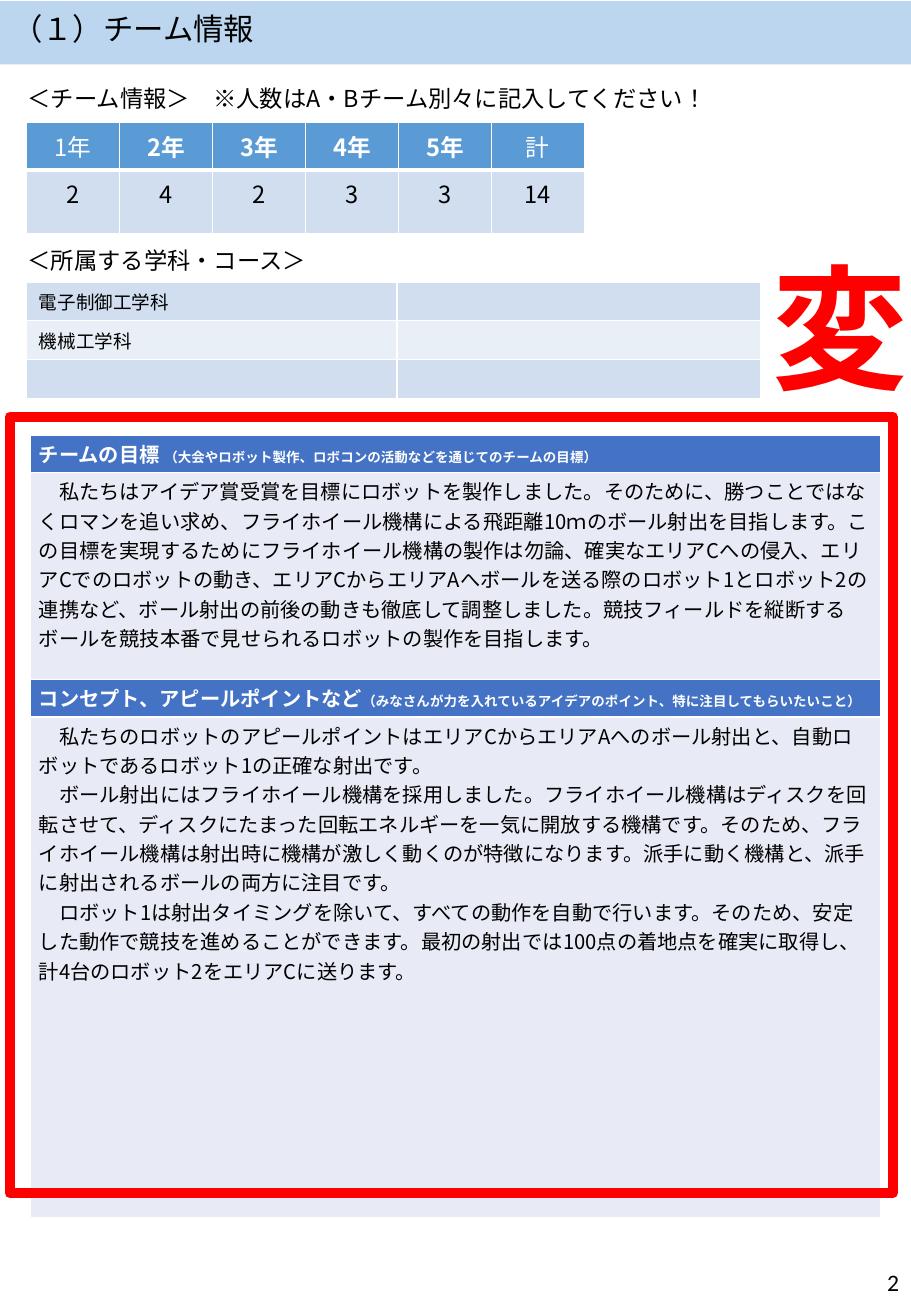
from lxml import etree
from pptx import Presentation
from pptx.dml.color import RGBColor
from pptx.enum.lang import MSO_LANGUAGE_ID
from pptx.enum.shapes import MSO_SHAPE
from pptx.enum.text import MSO_ANCHOR, PP_ALIGN
from pptx.oxml.ns import qn
from pptx.util import Inches, Pt

JAPANESE = MSO_LANGUAGE_ID.JAPANESE
RECTANGLE = MSO_SHAPE.RECTANGLE
MIDDLE, TOP = MSO_ANCHOR.MIDDLE, MSO_ANCHOR.TOP
LEFT, CENTER, RIGHT = PP_ALIGN.LEFT, PP_ALIGN.CENTER, PP_ALIGN.RIGHT

GOTHIC = "Noto Sans CJK JP"
COLORS = {
    "black": "000000", "white": "FFFFFF", "red": "FF0000",
    "title_bar": "BBD6EE", "year_header": "5B9BD5",
    "band": "D0DEEF", "light_band": "E9EFF7",
    "section": "4472C4", "section_body": "E8EBF5",
}


def color(name):
    return RGBColor.from_string(COLORS[name])


def write(paragraph, text, size=12, font=GOTHIC, ink="black", bold=False,
          align=LEFT, line_spacing=None):
    """Add one formatted run; an empty text only sets the line height."""
    paragraph.alignment = align
    if line_spacing:
        paragraph.line_spacing = line_spacing
    if not text:
        etree.SubElement(paragraph._p, qn("a:endParaRPr"), sz=str(size * 100))
        return
    run = paragraph.add_run()
    run.text = text
    run.font.size, run.font.bold, run.font.name = Pt(size), bold, font
    run.font.color.rgb = color(ink)
    run.font.language_id = JAPANESE
    east_asian = etree.Element(qn("a:ea"), typeface=font)
    run.font._element.find(qn("a:latin")).addnext(east_asian)


class TeamSlide:
    def __init__(self, presentation):
        self.slide = presentation.slides.add_slide(presentation.slide_layouts[5])
        self.shapes = self.slide.shapes

    def rectangle(self, box, fill=None, line=None, width=0):
        shape = self.shapes.add_shape(RECTANGLE, *map(Inches, box))
        shape.shadow.inherit = False
        if fill:
            shape.fill.solid()
            shape.fill.fore_color.rgb = color(fill)
        else:
            shape.fill.background()
        if line:
            shape.line.color.rgb = color(line)
            shape.line.width = Pt(width)
        else:
            shape.line.fill.background()
        return shape

    def title(self, text, box):
        shape = self.shapes.title
        shape.left, shape.top, shape.width, shape.height = map(Inches, box)
        self.fill_frame(shape.text_frame, text, size=18, line_spacing=0.9)

    def text(self, text, box, wrap=True, **style):
        shape = self.shapes.add_textbox(*map(Inches, box))
        self.fill_frame(shape.text_frame, text, wrap, **style)

    def fill_frame(self, frame, text, wrap=True, **style):
        frame.word_wrap = wrap
        frame.vertical_anchor = MIDDLE
        frame.margin_left = frame.margin_right = Inches(0.1)
        frame.margin_top = frame.margin_bottom = Inches(0.05)
        write(frame.paragraphs[0], text, **style)

    def table(self, box, columns, rows):
        frame = self.shapes.add_table(len(rows), len(columns), *map(Inches, box))
        table = frame.table
        table.first_row = table.horz_banding = False
        for column, width in zip(table.columns, columns):
            column.width = Inches(width)
        for row, height in zip(table.rows, rows):
            row.height = Inches(height)
        return table

    def cell(self, cell, paragraphs, fill, margins=(0.1, 0.05), bottom=1, top=1):
        """Fill a cell; each paragraph is a list of (text, style) runs."""
        cell.margin_left = cell.margin_right = Inches(margins[0])
        cell.margin_top = cell.margin_bottom = Inches(margins[1])
        cell.vertical_anchor = TOP
        properties = cell._tc.get_or_add_tcPr()
        for side, width in (("L", 1), ("R", 1), ("T", top), ("B", bottom)):
            line = etree.SubElement(properties, qn("a:ln" + side), w=str(Pt(width)))
            paint = etree.SubElement(line, qn("a:solidFill"))
            etree.SubElement(paint, qn("a:srgbClr"), val=COLORS["white"])
        cell.fill.solid()
        cell.fill.fore_color.rgb = color(fill)
        frame = cell.text_frame
        for index, runs in enumerate(paragraphs):
            paragraph = frame.add_paragraph() if index else frame.paragraphs[0]
            for text, style in runs:
                write(paragraph, text, **style)


YEARS = [("1年", "2"), ("2年", "4"), ("3年", "2"), ("4年", "3"), ("5年", "3"), ("計", "14")]
DEPARTMENTS = [("電子制御工学科", ""), ("機械工学科", ""), ("", "")]
SECTIONS = [
    ("チームの目標 ", "（大会やロボット製作、ロボコンの活動などを通じてのチームの目標）", [
        "　私たちはアイデア賞受賞を目標にロボットを製作しました。そのために、勝つことではなくロマンを追い求め、"
        "フライホイール機構による飛距離10ｍのボール射出を目指します。この目標を実現するためにフライホイール機構の"
        "製作は勿論、確実なエリアCへの侵入、エリアCでのロボットの動き、エリアCからエリアAへボールを送る際の"
        "ロボット1とロボット2の連携など、ボール射出の前後の動きも徹底して調整しました。競技フィールドを縦断する"
        "ボールを競技本番で見せられるロボットの製作を目指します。"]),
    ("コンセプト、アピールポイントなど",
     "（みなさんが力を入れているアイデアのポイント、特に注目してもらいたいこと）", [
        "　私たちのロボットのアピールポイントはエリアCからエリアAへのボール射出と、自動ロボットであるロボット1の"
        "正確な射出です。",
        "　ボール射出にはフライホイール機構を採用しました。フライホイール機構はディスクを回転させて、ディスクに"
        "たまった回転エネルギーを一気に開放する機構です。そのため、フライホイール機構は射出時に機構が激しく動くのが"
        "特徴になります。派手に動く機構と、派手に射出されるボールの両方に注目です。",
        "　ロボット1は射出タイミングを除いて、すべての動作を自動で行います。そのため、安定した動作で競技を進める"
        "ことができます。最初の射出では100点の着地点を確実に取得し、計4台のロボット2をエリアCに送ります。"]),
]


def main():
    presentation = Presentation()
    presentation.slide_width, presentation.slide_height = Inches(7.5), Inches(10.83)
    page = TeamSlide(presentation)

    # Title on its bar, page number
    bar = page.rectangle((0, 0.01, 7.5, 0.52), fill="title_bar")
    page.shapes._spTree.insert(2, bar._element)
    page.title("（１）チーム情報", (0, 0.07, 2.57, 0.36))
    page.text("2", (5.81, 10.26, 1.69, 0.58), size=14, font="Calibri", align=RIGHT)

    # Members per year
    year_table = page.table((0.22, 1.01, 4.59, 0.91), [0.765] * len(YEARS), [0.39, 0.52])
    for column, (year, count) in enumerate(YEARS):
        inner = 0 < column < len(YEARS) - 1
        header = dict(size=14, ink="white", bold=inner, align=CENTER)
        page.cell(year_table.cell(0, column), [[(year, header)]], "year_header", bottom=3)
        page.cell(year_table.cell(1, column), [[(count, dict(size=14, align=CENTER))]],
                  "band", top=3)

    # Headings above the two upper tables
    for heading, top in (("＜チーム情報＞　※人数はA・Bチーム別々に記入してください！", 0.64),
                         ("＜所属する学科・コース＞", 1.98)):
        page.text(heading, (0.13, top, 6.18, 0.36), size=13.8, line_spacing=0.9)

    # Departments
    department_table = page.table((0.22, 2.32, 6.04, 0.96), [3.05, 2.99], [0.32] * 3)
    for row, names in enumerate(DEPARTMENTS):
        for column, name in enumerate(names):
            page.cell(department_table.cell(row, column), [[(name, dict(size=11))]],
                      "light_band" if row % 2 else "band")

    # Goal and concept sections
    section_table = page.table((0.25, 3.58, 7.0, 6.44), [7.0], [0.31, 1.7, 0.31, 4.12])
    for index, (heading, hint, body) in enumerate(SECTIONS):
        header = dict(ink="white", bold=True)
        page.cell(section_table.cell(2 * index, 0),
                  [[(heading, header), (hint, dict(header, size=8))]],
                  "section", margins=(0.07, 0.03))
        page.cell(section_table.cell(2 * index + 1, 0), [[(text, {})] for text in body],
                  "section_body", margins=(0.07, 0.03))

    # Red frame and change mark
    page.rectangle((0.08, 3.43, 7.27, 6.39), line="red", width=6)
    page.text("変", (6.26, 1.95, 1.24, 1.45), wrap=False, size=80, ink="red", bold=True)

    presentation.save("out.pptx")


if __name__ == "__main__":
    main()
